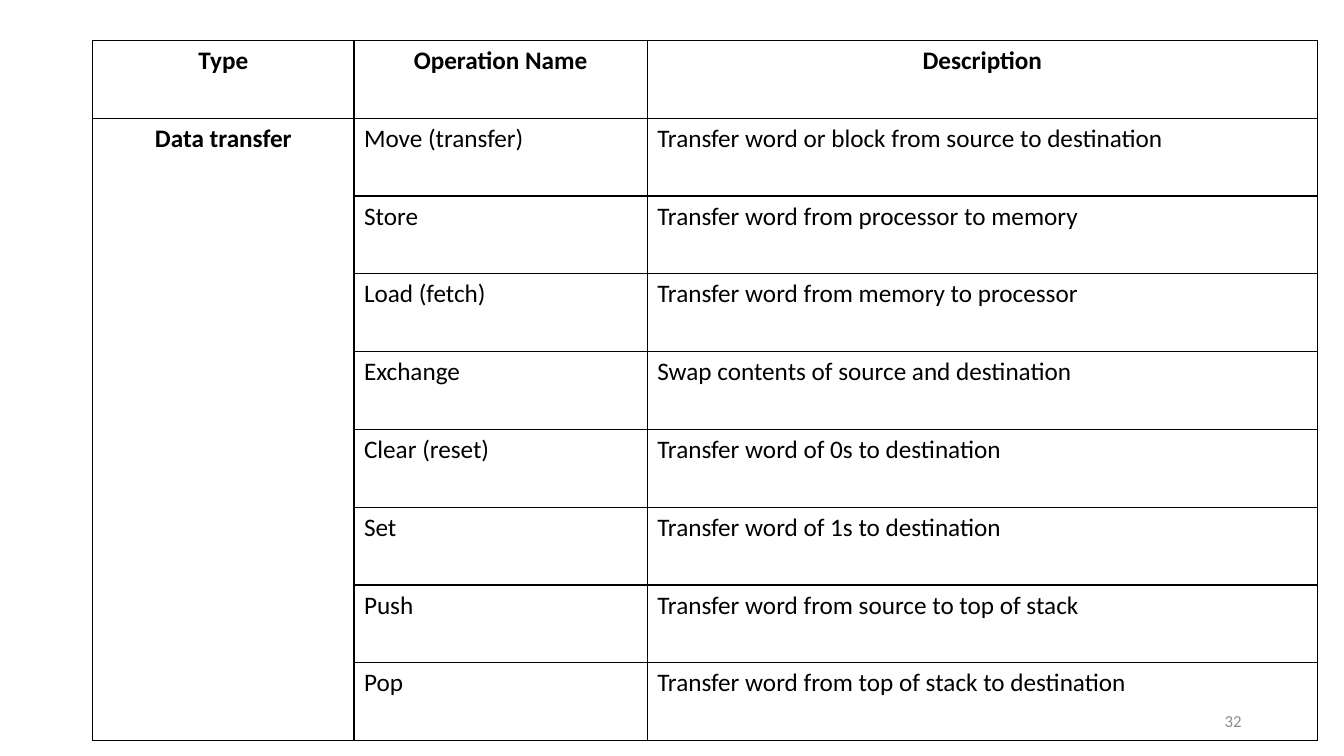
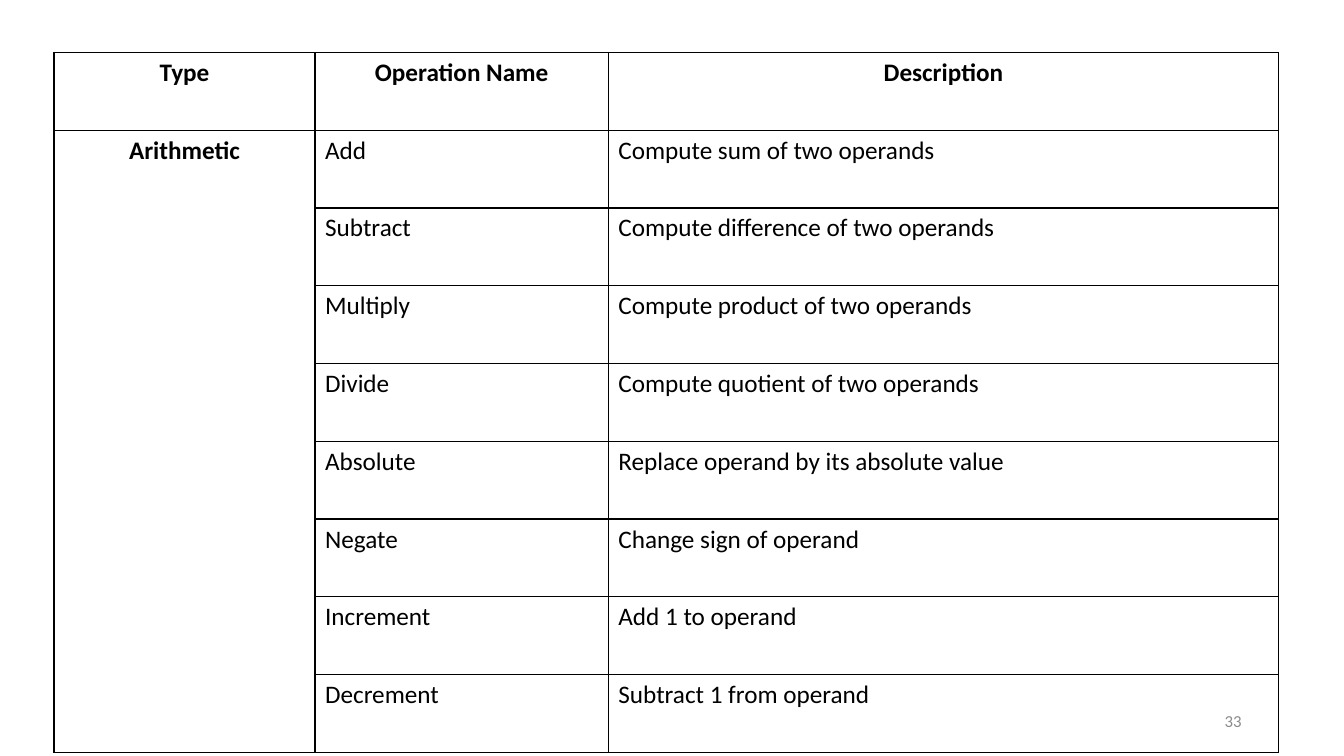
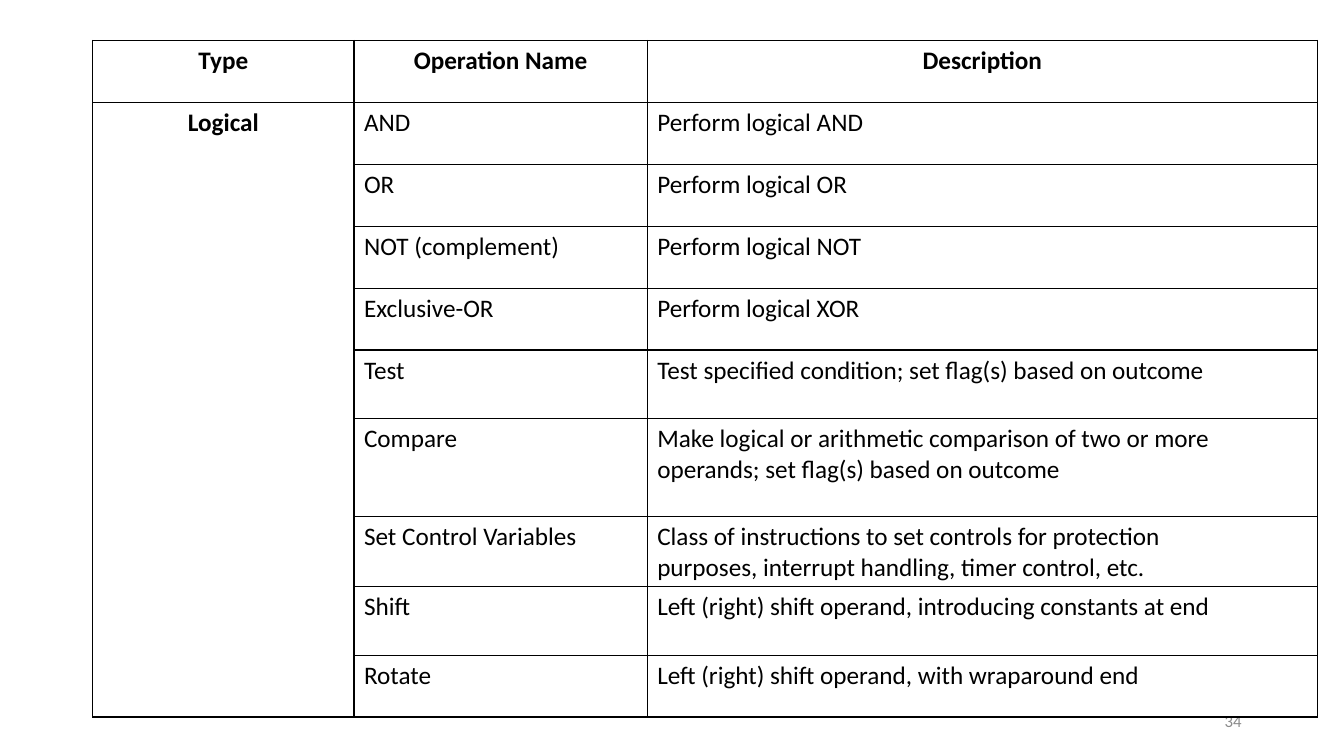
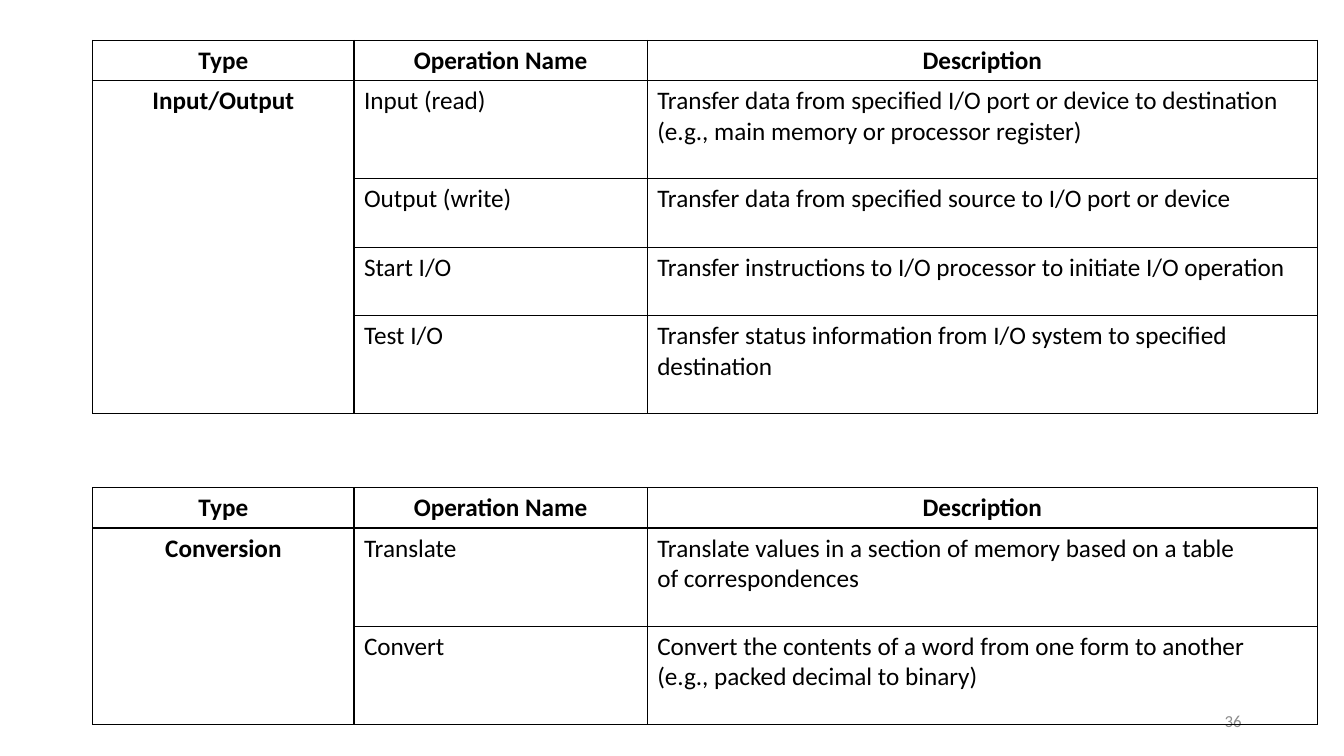
from dataclasses import dataclass

from lxml.etree import SubElement
from pptx import Presentation
from pptx.dml.color import RGBColor
from pptx.enum.text import MSO_ANCHOR as Anchor, PP_ALIGN as Align
from pptx.oxml.ns import qn
from pptx.util import Cm, Pt


@dataclass(frozen=True)
class Theme:
    font: str = "Calibri"
    ink: str = "000000"
    muted: str = "8B8B8B"
    body: float = 18
    footer: float = 12
    rule: float = 0.96


THEME = Theme()
PAGE = (33.87, 19.05)
NUMBER_BOX = (23.92, 17.66, 7.62, 1.01)
COLUMNS = (6.58, 7.39, 16.89)
HEADINGS = ("Type", "Operation Name", "Description")

MAIN = (2.34, 1.02)
SHIFTED = (1.36, 1.32)
LOWER = (2.34, 12.29)
SLIM, SNUG, MEDIUM, ROOMY, TALL = 1.0, 1.56, 1.72, 1.96, 2.47

TRANSFER = [
    ("Move (transfer)", "Transfer word or block from source to destination", ROOMY),
    ("Store", "Transfer word from processor to memory", ROOMY),
    ("Load (fetch)", "Transfer word from memory to processor", ROOMY),
    ("Exchange", "Swap contents of source and destination", ROOMY),
    ("Clear (reset)", "Transfer word of 0s to destination", ROOMY),
    ("Set", "Transfer word of 1s to destination", ROOMY),
    ("Push", "Transfer word from source to top of stack", ROOMY),
    ("Pop", "Transfer word from top of stack to destination", ROOMY),
]
ARITHMETIC = [
    ("Add", "Compute sum of two operands", ROOMY),
    ("Subtract", "Compute difference of two operands", ROOMY),
    ("Multiply", "Compute product of two operands", ROOMY),
    ("Divide", "Compute quotient of two operands", ROOMY),
    ("Absolute", "Replace operand by its absolute value", ROOMY),
    ("Negate", "Change sign of operand", ROOMY),
    ("Increment", "Add 1 to operand", ROOMY),
    ("Decrement", "Subtract 1 from operand", ROOMY),
]
LOGICAL = [
    ("AND", "Perform logical AND", SNUG),
    ("OR", "Perform logical OR", SNUG),
    ("NOT (complement)", "Perform logical NOT", SNUG),
    ("Exclusive-OR", "Perform logical XOR", SNUG),
    ("Test", "Test specified condition; set flag(s) based on outcome", MEDIUM),
    ("Compare", "Make logical or arithmetic comparison of two or more\n"
                "operands; set flag(s) based on outcome", TALL),
    ("Set Control Variables", "Class of instructions to set controls for protection\n"
                              "purposes, interrupt handling, timer control, etc.", MEDIUM),
    ("Shift", "Left (right) shift operand, introducing constants at end", MEDIUM),
    ("Rotate", "Left (right) shift operand, with wraparound end", SNUG),
]
INPUT_OUTPUT = [
    ("Input (read)", "Transfer data from specified I/O port or device to destination\n"
                     "(e.g., main memory or processor register)", TALL),
    ("Output (write)", "Transfer data from specified source to I/O port or device", MEDIUM),
    ("Start I/O", "Transfer instructions to I/O processor to initiate I/O operation", MEDIUM),
    ("Test I/O", "Transfer status information from I/O system to specified\n"
                 "destination", TALL),
]
CONVERSION = [
    ("Translate", "Translate values in a section of memory based on a table\n"
                  "of correspondences", TALL),
    ("Convert", "Convert the contents of a word from one form to another\n"
                "(e.g., packed decimal to binary)", TALL),
]

SLIDES = [
    ("32", [("Data transfer", MAIN, ROOMY, TRANSFER)]),
    ("33", [("Arithmetic", SHIFTED, ROOMY, ARITHMETIC)]),
    ("34", [("Logical", MAIN, SNUG, LOGICAL)]),
    ("36", [("Input/Output", MAIN, SLIM, INPUT_OUTPUT),
            ("Conversion", LOWER, SLIM, CONVERSION)]),
]


def write(frame, text, size, color, align, bold=False):
    frame.text = text
    for paragraph in frame.paragraphs:
        paragraph.alignment = align
        font = paragraph.font
        font.name, font.size, font.bold = THEME.font, Pt(size), bold
        font.color.rgb = RGBColor.from_string(color)


def outline(cell):
    properties = cell._tc.get_or_add_tcPr()
    for side in ("lnL", "lnR", "lnT", "lnB"):
        edge = SubElement(properties, qn(f"a:{side}"), w=str(Pt(THEME.rule)))
        SubElement(SubElement(edge, qn("a:solidFill")), qn("a:srgbClr"), val=THEME.ink)
    cell.fill.background()


def add_operations(slide, category, corner, heading_height, operations):
    heights = [heading_height] + [height for _, _, height in operations]
    lines = [HEADINGS] + [("", name, description) for name, description, _ in operations]
    lines[1] = (category, *lines[1][1:])

    table = slide.shapes.add_table(
        len(lines), len(COLUMNS), *map(Cm, (*corner, sum(COLUMNS), sum(heights)))).table
    table.first_row = table.horz_banding = False
    for column, width in zip(table.columns, COLUMNS):
        column.width = Cm(width)
    for r, (line, height) in enumerate(zip(lines, heights)):
        table.rows[r].height = Cm(height)
        for c, text in enumerate(line):
            cell = table.cell(r, c)
            is_label = r == 0 or c == 0
            write(cell.text_frame, text, THEME.body, THEME.ink,
                  Align.CENTER if is_label else Align.LEFT, is_label)
            outline(cell)
    table.cell(1, 0).merge(table.cell(len(operations), 0))


def add_page_number(slide, number):
    frame = slide.shapes.add_textbox(*map(Cm, NUMBER_BOX)).text_frame
    frame.word_wrap = True
    frame.vertical_anchor = Anchor.MIDDLE
    write(frame, number, THEME.footer, THEME.muted, Align.RIGHT)


deck = Presentation()
deck.slide_width, deck.slide_height = map(Cm, PAGE)
for page_number, groups in SLIDES:
    page = deck.slides.add_slide(deck.slide_layouts[6])
    add_page_number(page, page_number)
    for group in groups:
        add_operations(page, *group)
deck.save("out.pptx")
